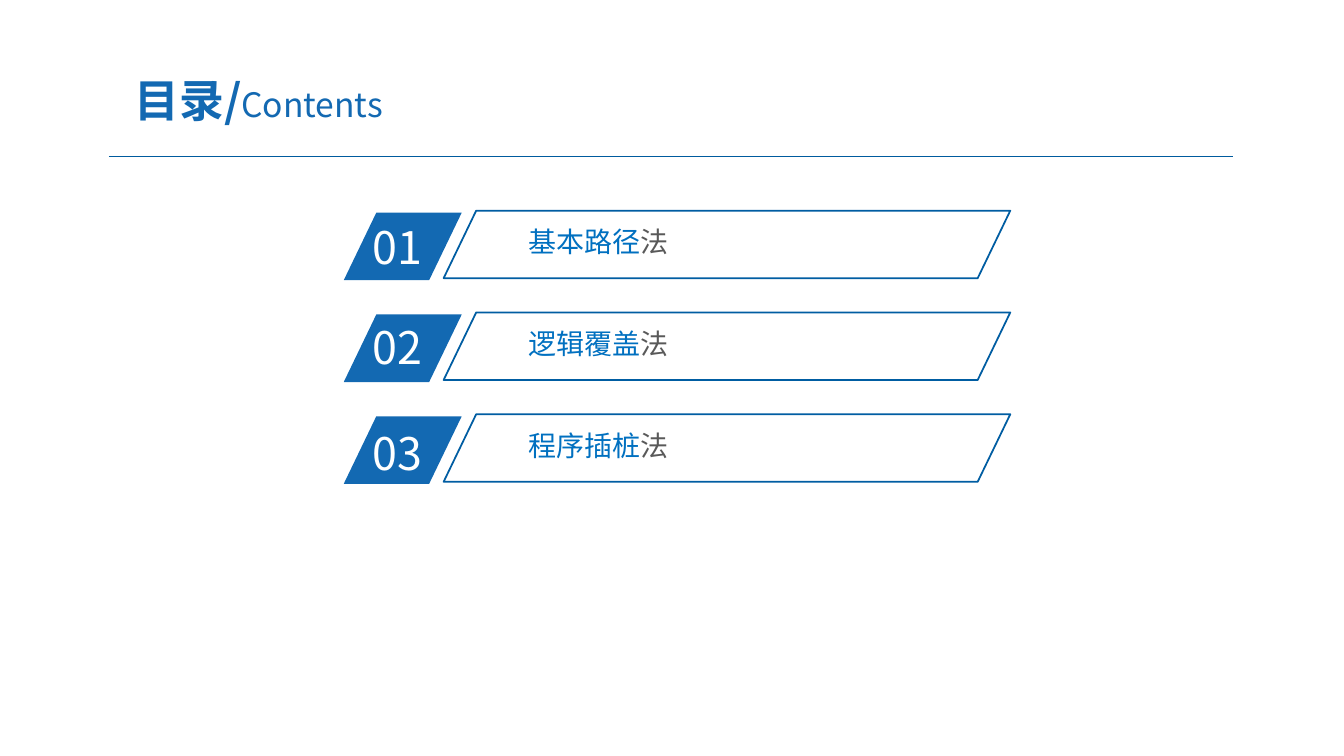
from dataclasses import dataclass

import pptx
import pptx.dml.color
import pptx.enum.shapes
import pptx.enum.text
import pptx.oxml.ns
import pptx.util
from lxml import etree

PX = 9144  # EMU per px, 100 px to the inch
FONT = "Noto Sans CJK SC"
COLORS = {
    "blue": "1369B2",
    "rule": "005B9E",
    "outline": "005DA2",
    "label": "0070C0",
    "grey": "595959",
    "white": "FFFFFF",
}
FIRST_TOP = 209
ROW_PITCH = 101
BAR_HEIGHT = 67
SLANT = 0.482


@dataclass
class Area:
    left: int
    top: int
    width: int
    height: int

    def emu(self) -> list[int]:
        return [side * PX for side in (self.left, self.top, self.width, self.height)]


@dataclass
class Span:
    text: str
    color: str
    size: int
    bold: bool = False


@dataclass
class Entry:
    number: str
    topic: str
    number_top: int


ENTRIES = [
    Entry("01", "基本路径", 213),
    Entry("02", "逻辑覆盖", 312),
    Entry("03", "程序插桩", 417),
]


def rgb(name: str) -> pptx.dml.color.RGBColor:
    return pptx.dml.color.RGBColor.from_string(COLORS[name])


def add_text(page, area: Area, spans: list[Span], inset_x: int = 10, inset_y: int = 5,
             centred: bool = False) -> None:
    box = page.shapes.add_textbox(*area.emu())
    frame = box.text_frame
    frame.word_wrap = True
    frame.margin_left = frame.margin_right = inset_x * PX
    frame.margin_top = frame.margin_bottom = inset_y * PX
    para = frame.paragraphs[0]
    para.font.name = FONT
    if centred:
        frame.vertical_anchor = pptx.enum.text.MSO_ANCHOR.MIDDLE
        para.alignment = pptx.enum.text.PP_ALIGN.CENTER
    for span in spans:
        run = para.add_run()
        run.text = span.text
        run.font.size = pptx.util.Pt(span.size)
        run.font.bold = span.bold
        run.font.color.rgb = rgb(span.color)
        east_asian = etree.SubElement(run.font._element, pptx.oxml.ns.qn("a:ea"))
        east_asian.set("typeface", FONT)


def add_bar(page, area: Area, fill: str = "", outline: str = "") -> None:
    """Draw a slanted bar, either filled or outlined."""
    kind = pptx.enum.shapes.MSO_SHAPE.PARALLELOGRAM
    bar = page.shapes.add_shape(kind, *area.emu())
    bar.adjustments[0] = SLANT
    bar.shadow.inherit = False
    if fill:
        bar.fill.solid()
        bar.fill.fore_color.rgb = rgb(fill)
    else:
        bar.fill.background()
    if outline:
        bar.line.color.rgb = rgb(outline)
        bar.line.width = pptx.util.Pt(1.25)
    else:
        bar.line.fill.background()


def add_rule(page, left: int, right: int, top: int) -> None:
    kind = pptx.enum.shapes.MSO_CONNECTOR.STRAIGHT
    rule = page.shapes.add_connector(kind, left * PX, top * PX, right * PX, top * PX)
    rule.line.color.rgb = rgb("rule")
    rule.line.width = pptx.util.Pt(0.75)
    etree.SubElement(rule._element.spPr, pptx.oxml.ns.qn("a:effectLst"))


def add_entry(page, entry: Entry, top: int) -> None:
    add_bar(page, Area(341, top + 2, 117, BAR_HEIGHT), fill="blue")
    add_text(page, Area(360, entry.number_top, 112, 64), [Span(entry.number, "white", 32)])
    topic = [Span(entry.topic, "label", 20), Span("法", "grey", 20)]
    add_text(page, Area(517, top + 10, 412, 41), topic, inset_x=7, inset_y=4)
    add_bar(page, Area(440, top, 562, BAR_HEIGHT), outline="outline")


def main() -> None:
    deck = pptx.Presentation()
    deck.slide_width = 1333 * PX
    deck.slide_height = 750 * PX
    page = deck.slides.add_slide(deck.slide_layouts[6])
    add_rule(page, 108, 1223, 155)
    title = [Span("目录/", "blue", 32, bold=True), Span("Contents", "blue", 24)]
    add_text(page, Area(92, 63, 329, 72), title, inset_x=13, inset_y=7, centred=True)
    for index, entry in enumerate(ENTRIES):
        add_entry(page, entry, FIRST_TOP + index * ROW_PITCH)
    deck.save("out.pptx")


if __name__ == "__main__":
    main()
